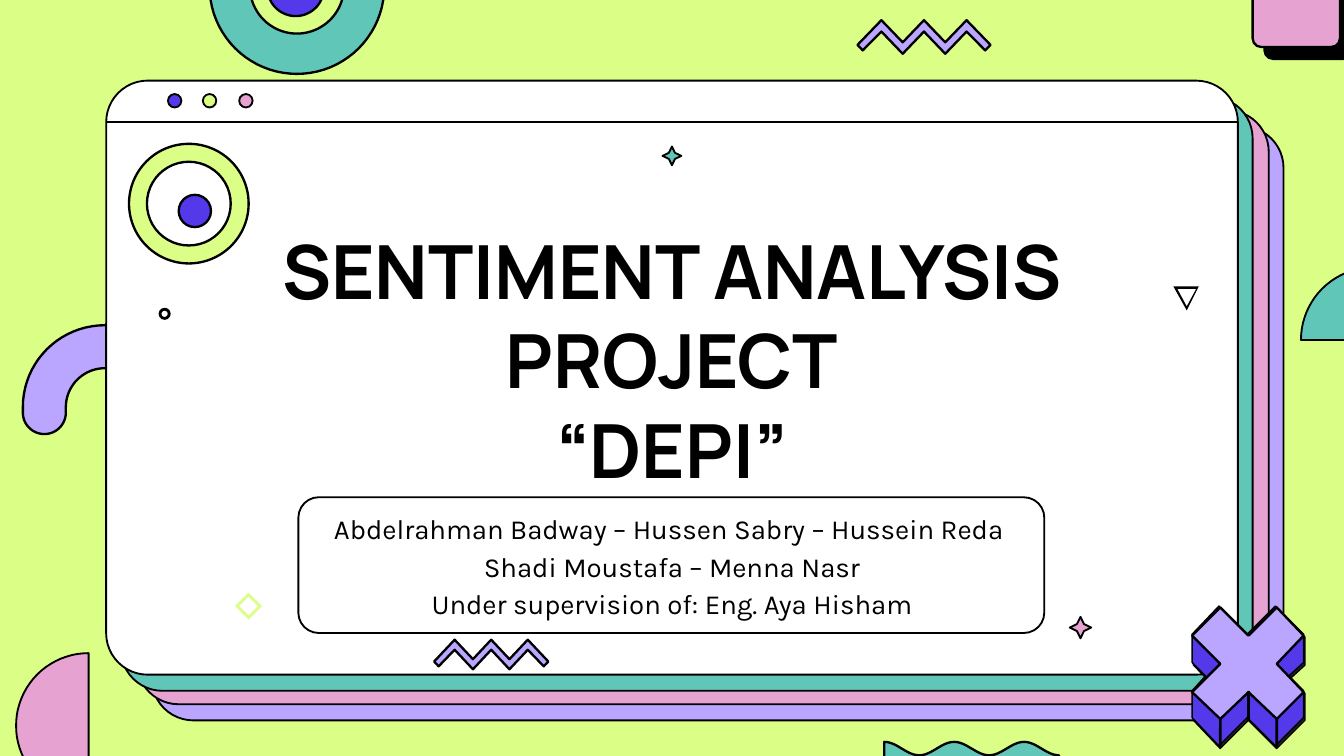
import math
import lxml.etree
import pptx
import pptx.dml.color
import pptx.enum.shapes
import pptx.enum.text
import pptx.oxml.ns
import pptx.util

Inches = pptx.util.Inches
Pt = pptx.util.Pt
color = pptx.dml.color.RGBColor.from_string
qn = pptx.oxml.ns.qn
kinds = pptx.enum.shapes.MSO_SHAPE
align = pptx.enum.text.PP_ALIGN
anchor = pptx.enum.text.MSO_ANCHOR

lime, lilac, pink, teal = "DBFE87", "BAA5FF", "E6A2D0", "60C7B8"
blue, black, white = "5339EA", "000000", "FFFFFF"

deck = pptx.Presentation()
deck.slide_width = Inches(10)
deck.slide_height = Inches(10 * 9 / 16)
slide = deck.slides.add_slide(deck.slide_layouts[6])
shapes = slide.shapes
slide.background.fill.solid()
slide.background.fill.fore_color.rgb = color(lime)


def arc(x, y, r, start, end):
    turns = [math.radians(start + (end - start) * i / 40) for i in range(41)]
    return [(x + r * math.cos(t), y + r * math.sin(t)) for t in turns]


def draw(form, fill, width=None, box=None, adj=None):
    if box:
        shape = shapes.add_shape(form, *[Inches(v) for v in box])
    else:
        loops = [[(Inches(x), Inches(y)) for x, y in loop] for loop in form]
        pen = shapes.build_freeform(*loops[0][0])
        pen.add_line_segments(loops[0][1:], close=True)
        for loop in loops[1:]:
            pen.move_to(*loop[0])
            pen.add_line_segments(loop[1:], close=True)
        shape = pen.convert_to_shape()
    shape.shadow.inherit = False
    if adj is not None:
        shape.adjustments[0] = adj
    if fill:
        shape.fill.solid()
        shape.fill.fore_color.rgb = color(fill)
    else:
        shape.fill.background()
    if width is None:
        shape.line.fill.background()
    else:
        shape.line.color.rgb = color(black)
        shape.line.width = Pt(width)
    return shape


hook = (arc(0.78, 3.03, 0.61, 180, 360) + arc(1.23, 3.03, 0.16, 0, 180)
        + arc(0.78, 3.03, 0.29, 360, 180) + arc(0.33, 3.07, 0.16, 0, 180))
draw([hook], lilac, 1.25)

for left, top, fill in [(1.13, 0.94, lilac), (1.02, 0.82, pink),
                        (0.9, 0.72, teal), (0.79, 0.6, white)]:
    draw(kinds.ROUNDED_RECTANGLE, fill, 1, (left, top, 8.42, 4.42), 0.07)

rule = shapes.add_connector(pptx.enum.shapes.MSO_CONNECTOR.STRAIGHT,
                            Inches(0.79), Inches(0.91), Inches(9.21), Inches(0.91))
rule.line.color.rgb = color(black)
rule.line.width = Pt(1)
lxml.etree.SubElement(rule._element.spPr, qn("a:effectLst"))

draw([arc(2.21, -0.1, 0.65, 0, 180) + arc(2.21, -0.1, 0.35, 180, 0)], teal, 1.25)
draw([arc(2.2, -0.09, 0.21, 0, 180)], blue, 1.25)

texts = [
    ((1.37, 1.4, 7.26, 2.32), ["SENTIMENT ANALYSIS PROJECT\v“DEPI”"],
     {"vertical_anchor": anchor.BOTTOM, "margin_bottom": Inches(0.05)},
     {"line_spacing": Pt(48)}, 0,
     {"name": "Manrope", "size": Pt(40), "bold": True}),
    ((1.57, 3.83, 6.86, 0.88),
     ["Abdelrahman Badway – Hussen Sabry – Hussein Reda ",
      "Shadi Moustafa – Menna Nasr",
      "Under supervision of: Eng. Aya Hisham"],
     {"vertical_anchor": anchor.TOP, "margin_top": Inches(0.05)},
     {"line_spacing": 0.7}, 7.5,
     {"name": "Karla", "size": Pt(14.8)}),
]
for box, lines, body, flow, gap, style in texts:
    frame = shapes.add_textbox(*[Inches(v) for v in box]).text_frame
    frame.word_wrap = True
    frame.text = "\n".join(lines)
    for key, val in body.items():
        setattr(frame, key, val)
    for i, para in enumerate(frame.paragraphs):
        para.alignment = align.CENTER
        if i:
            para.space_before = Pt(gap)
        for key, val in flow.items():
            setattr(para, key, val)
        for run in para.runs:
            run.font.color.rgb = color(black)
            for key, val in style.items():
                setattr(run.font, key, val)

for left, fill in [(1.25, blue), (1.51, lime), (1.78, pink)]:
    draw(kinds.OVAL, fill, 1, (left, 0.7, 0.1, 0.1))
draw(kinds.ROUNDED_RECTANGLE, None, 1, (2.22, 3.7, 5.55, 1.01), 0.15)

draw(kinds.DONUT, lime, 1.25, (0.96, 1.07, 0.89, 0.89), 0.15)
draw(kinds.OVAL, blue, 1.25, (1.33, 1.45, 0.24, 0.24))

draw(kinds.STAR_4_POINT, pink, 1, (7.96, 4.59, 0.16, 0.16), 0.23)
draw(kinds.STAR_4_POINT, teal, 1, (4.93, 1.09, 0.14, 0.14), 0.23)

zigzag = [(0.66, 1), (0.5, 0.34), (0.34, 1), (0.18, 0.34), (0.04, 0.9),
          (0, 0.74), (0.18, 0), (0.34, 0.66), (0.5, 0), (0.66, 0.66),
          (0.82, 0), (1, 0.74), (0.96, 0.9), (0.82, 0.34)]
for left, top, wide, high in [(3.23, 4.76, 0.85, 0.22), (6.38, 0.15, 0.99, 0.25)]:
    draw([[(left + wide * x, top + high * y) for x, y in zigzag]], lilac, 1.25)

tile = draw(kinds.ROUNDED_RECTANGLE, pink, 1.25, (9.32, -0.3, 0.65, 0.65), 0.1)
glow = tile._element.spPr.find(qn("a:effectLst"))
cast = lxml.etree.SubElement(glow, qn("a:outerShdw"), dist=str(Pt(9)),
                             dir="2700000", algn="bl", rotWithShape="0")
lxml.etree.SubElement(cast, qn("a:srgbClr"), val=black)

draw([[(8.73, 2.13), (8.92, 2.13), (8.83, 2.31)],
      [(8.76, 2.15), (8.83, 2.28), (8.9, 2.15)]], black)
draw([[(1.85 + r, 4.51), (1.85, 4.51 + r), (1.85 - r, 4.51), (1.85, 4.51 - r)]
      for r in (0.1, 0.07)], lime)
draw(kinds.DONUT, black, None, (1.18, 2.29, 0.09, 0.09), 0.24)

draw([arc(0.66, 5.4, 0.54, 90, 270)], pink, 1)

steps = [6.58 + 1.3 * i / 60 for i in range(61)]
crest = [(x, 5.57 - 0.05 * math.cos(math.tau * (x - 6.58) / 0.52)) for x in steps]
draw([crest + [(x, y + 0.12) for x, y in crest[::-1]]], teal, 1.25)

block = [(9.7, 4.72), (9.7, 4.93), (9.59, 5.03), (9.7, 5.14), (9.7, 5.34),
         (9.49, 5.55), (9.28, 5.34), (9.07, 5.55), (8.87, 5.34), (8.87, 5.14),
         (8.97, 5.03), (8.87, 4.93), (8.87, 4.72), (9.07, 4.51), (9.28, 4.72),
         (9.49, 4.51)]
cross = [(9.5, 4.52), (9.7, 4.73), (9.5, 4.94), (9.7, 5.15), (9.5, 5.35),
         (9.29, 5.15), (9.08, 5.35), (8.87, 5.15), (9.08, 4.94), (8.87, 4.73),
         (9.08, 4.52), (9.29, 4.73)]
draw([[(x + 0.01, y + 0.02) for x, y in block]], "222221", 0)
draw([block], blue, 0)
draw([cross], lilac, 1.25)
for left, top in [(9.49, 5.34), (9.07, 5.34), (9.28, 5.14)]:
    draw(kinds.ROUNDED_RECTANGLE, black, None, (left, top, 0.02, 0.22), 0.5)

draw([arc(10.22, 2.53, 0.54, 180, 360)], teal, 1)

deck.save("out.pptx")
